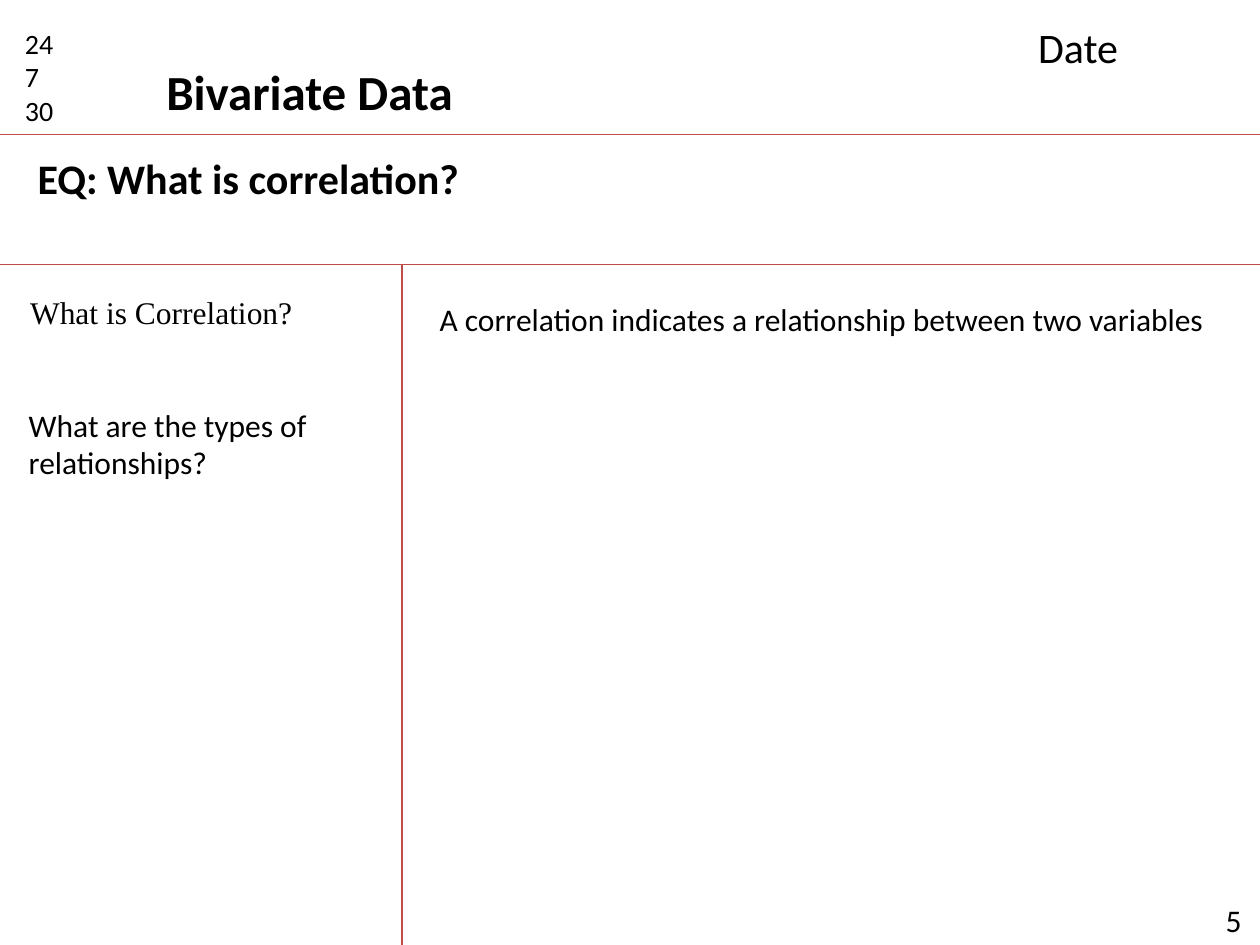
from dataclasses import dataclass

from lxml import etree
from pptx import Presentation
from pptx.dml.color import RGBColor
from pptx.enum.shapes import MSO_CONNECTOR
from pptx.enum.text import MSO_ANCHOR, PP_ALIGN
from pptx.oxml.ns import qn
from pptx.util import Inches, Pt

STRAIGHT = MSO_CONNECTOR.STRAIGHT
TOP = MSO_ANCHOR.TOP
LEFT = PP_ALIGN.LEFT


@dataclass(frozen=True)
class Theme:
    ink: RGBColor = RGBColor(0x00, 0x00, 0x00)
    rule: RGBColor = RGBColor(0xBF, 0x4C, 0x48)
    font: str = "Calibri"
    serif: str = "Times New Roman"
    title: int = 28
    heading: int = 24
    body: int = 18
    small: int = 16
    rule_width: float = 0.75


THEME = Theme()
WIDTH, HEIGHT = 10, 7.5
HEADER_BOTTOM, QUESTION_BOTTOM, CUE_RIGHT = 1.07, 2.1, 3.19


def write(shape, text, size, font=THEME.font, bold=False, wrap=True):
    frame = shape.text_frame
    frame.text = text
    frame.word_wrap = wrap
    frame.vertical_anchor = TOP
    for para in frame.paragraphs:
        para.alignment = LEFT
        for span in para.runs:
            span.font.name = font
            span.font.size = Pt(size)
            span.font.bold = bold
            span.font.color.rgb = THEME.ink


def add_text(page, box, text, size, **style):
    shape = page.shapes.add_textbox(*map(Inches, box))
    write(shape, text, size, **style)


def add_rule(page, x1, y1, x2, y2):
    rule = page.shapes.add_connector(STRAIGHT, *map(Inches, (x1, y1, x2, y2)))
    rule.line.color.rgb = THEME.rule
    rule.line.width = Pt(THEME.rule_width)
    etree.SubElement(rule._element.spPr, qn("a:effectLst"))


def add_header(page, left, top, width, height):
    """Place the homework numbers, the title and the date above a rule."""
    add_text(page, (left + 0.1, top + 0.16, 0.63, 0.91), "24\n7\n30", THEME.small)
    title = page.shapes.title
    title.left, title.top = Inches(left + 1.22), Inches(top + 0.44)
    title.width, title.height = Inches(2.51), Inches(0.57)
    write(title, "Bivariate Data", THEME.title, bold=True, wrap=False)
    add_text(page, (left + 8.14, top + 0.12, 1.73, 0.5), "Date", THEME.heading)
    add_rule(page, left, top + height, left + width, top + height)


def add_essential_question(page, left, top, width, height):
    add_text(page, (left + 0.2, top + 0.09, 9.36, 0.5),
             "EQ: What is correlation?", THEME.heading, bold=True)
    add_rule(page, left, top + height, left + width, top + height)


def add_cues(page, left, top, width, height):
    """Place the cue questions, with a rule down the right side."""
    add_text(page, (left + 0.14, top + 0.18, 2.58, 0.4),
             "What is Correlation?", THEME.body, font=THEME.serif)
    add_text(page, (left + 0.13, top + 1.07, 2.74, 0.71),
             "What are the types of relationships?", THEME.body)
    add_rule(page, left + width, top, left + width, top + height)


def add_notes_area(page, left, top, width, height):
    add_text(page, (left + 0.2, top + 0.23, 6.4, 0.4),
             "A correlation indicates a relationship between two variables",
             THEME.body, wrap=False)
    add_text(page, (left + width - 0.37, top + height - 0.4, 0.37, 0.4),
             "5", THEME.body)


def main():
    deck = Presentation()
    deck.slide_width, deck.slide_height = Inches(WIDTH), Inches(HEIGHT)
    page = deck.slides.add_slide(deck.slide_layouts.get_by_name("Title Only"))
    body_height = HEIGHT - QUESTION_BOTTOM
    add_header(page, 0, 0, WIDTH, HEADER_BOTTOM)
    add_essential_question(page, 0, HEADER_BOTTOM, WIDTH,
                           QUESTION_BOTTOM - HEADER_BOTTOM)
    add_cues(page, 0, QUESTION_BOTTOM, CUE_RIGHT, body_height)
    add_notes_area(page, CUE_RIGHT, QUESTION_BOTTOM, WIDTH - CUE_RIGHT, body_height)
    deck.save("out.pptx")


if __name__ == "__main__":
    main()
